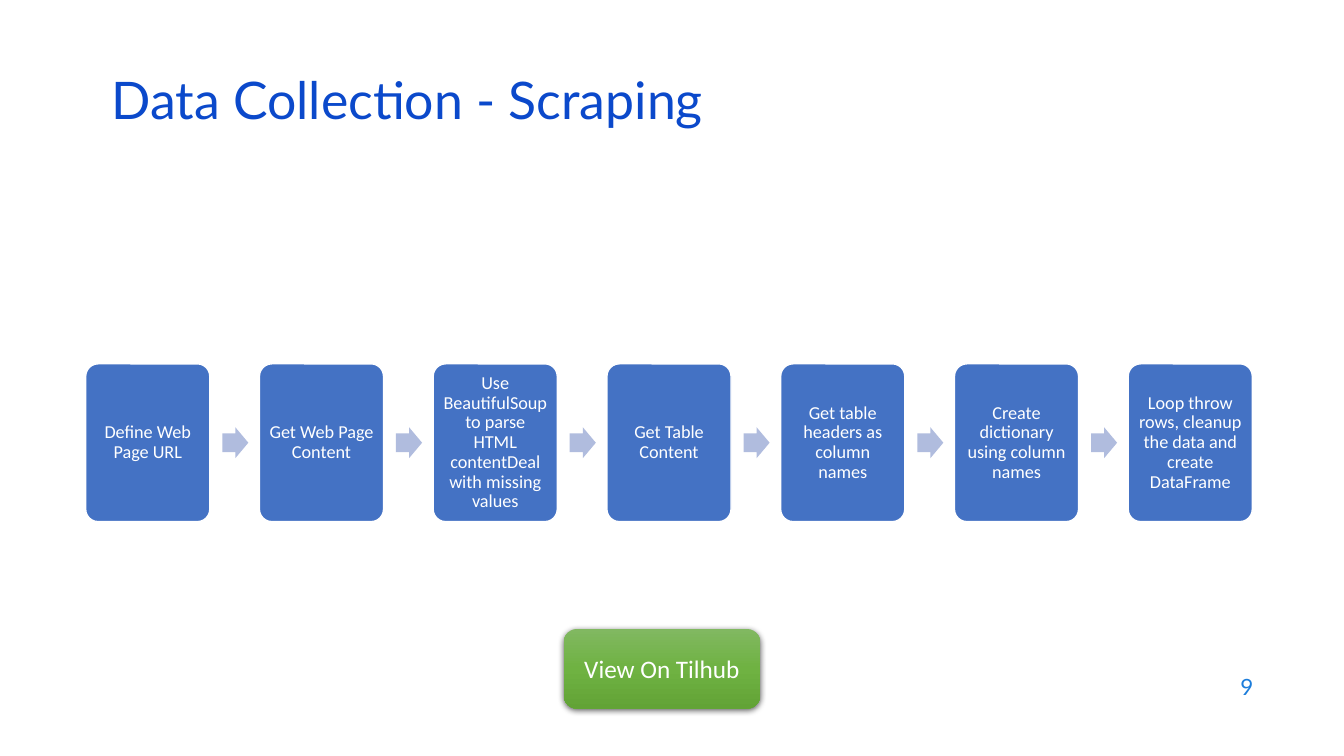
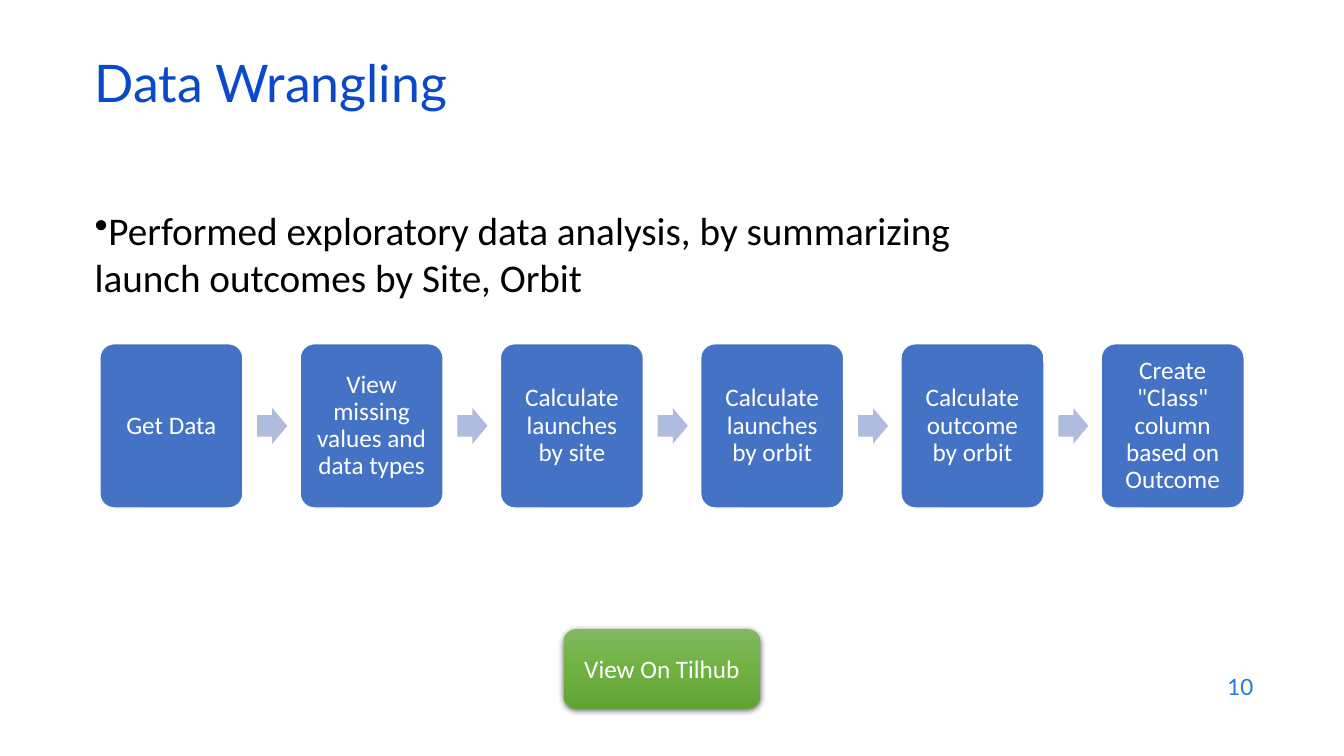
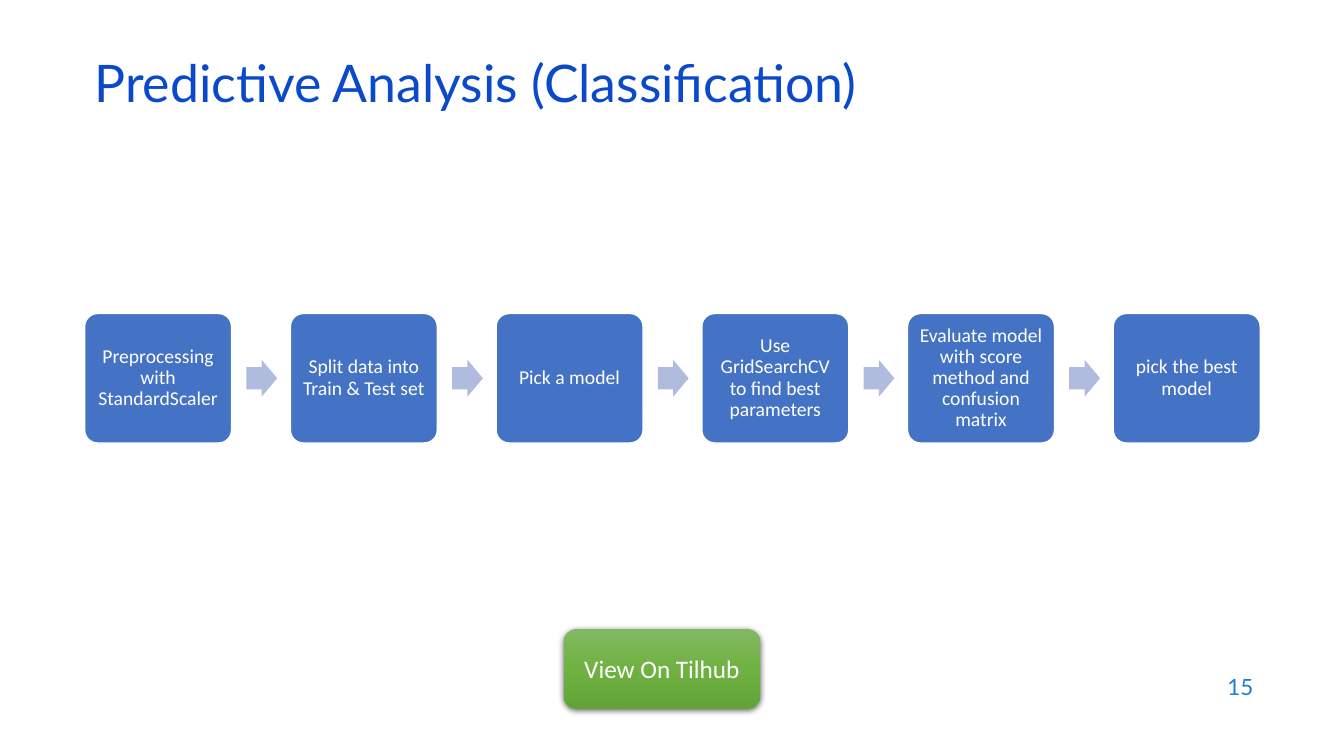
from dataclasses import dataclass

from lxml.etree import SubElement
from pptx import Presentation
from pptx.dml.color import RGBColor
from pptx.enum.shapes import MSO_SHAPE as Preset
from pptx.enum.text import MSO_ANCHOR as Anchor, PP_ALIGN as Align
from pptx.oxml import parse_xml
from pptx.oxml.ns import nsdecls, qn
from pptx.shapes.autoshape import Shape
from pptx.slide import Slide
from pptx.util import Inches, Pt

SLIDE_WIDTH = Inches(13.33)
SLIDE_HEIGHT = Inches(7.5)
COLOURS = {
    "title": "0B49CB",
    "number": "1C7DDB",
    "body": "000000",
    "light": "FFFFFF",
    "step": "4472C4",
    "arrow": "B0BCDE",
    "button top": "81B861",
    "button middle": "6FB242",
    "button bottom": "62A336",
    "shadow": "000000",
}
HEADING_FONT = "Lato"
TEXT_FONT = "Calibri"

STEP_PITCH = 1.4
ARROW_OFFSET = 1.1
ARROW_WIDTH = 0.21
ARROW_HEIGHT = 0.25


@dataclass(frozen=True)
class Area:
    """A rectangle in percent of the slide's width and height."""

    left: float
    top: float
    width: float
    height: float

    def lengths(self) -> tuple[int, int, int, int]:
        return (
            round(SLIDE_WIDTH * self.left / 100),
            round(SLIDE_HEIGHT * self.top / 100),
            round(SLIDE_WIDTH * self.width / 100),
            round(SLIDE_HEIGHT * self.height / 100),
        )


@dataclass(frozen=True)
class TextStyle:
    font: str
    size: float
    colour: str
    align: Align = Align.LEFT
    line_spacing: float = 1.0
    anchor: Anchor = Anchor.MIDDLE


@dataclass(frozen=True)
class Flow:
    area: Area
    text_size: float
    inset: float
    steps: tuple[str, ...]


@dataclass(frozen=True)
class Page:
    number: int
    title: str
    title_area: Area
    flow: Flow
    bullet: str = ""


NUMBER_AREA = Area(71.49, 87.87, 22.5, 5.87)
TITLE_AREA = Area(6.3, 7.87, 86.27, 8)
BODY_AREA = Area(6.3, 26.67, 73.67, 63.47)
BUTTON_AREA = Area(41.94, 83.2, 14.63, 10.53)

NUMBER_STYLE = TextStyle(HEADING_FONT, 16, "number", Align.RIGHT)
TITLE_STYLE = TextStyle(HEADING_FONT, 37, "title", line_spacing=0.7)
BODY_STYLE = TextStyle(TEXT_FONT, 28, "body", anchor=Anchor.TOP)
BUTTON_STYLE = TextStyle(TEXT_FONT, 18, "light", Align.CENTER)

PAGES = (
    Page(
        9,
        "Data Collection - Scraping",
        Area(7.58, 10.13, 86.27, 8),
        Flow(
            Area(6.38, 48.13, 86.8, 20.87),
            13,
            0.05,
            (
                "Define Web Page URL",
                "Get Web Page Content",
                "Use BeautifulSoup to parse HTML contentDeal with missing values",
                "Get Table Content",
                "Get table headers as column names",
                "Create dictionary using column names",
                "Loop throw rows, cleanup the data and create DataFrame",
            ),
        ),
    ),
    Page(
        10,
        "Data Wrangling",
        TITLE_AREA,
        Flow(
            Area(7.43, 45.47, 85.15, 21.73),
            18,
            0.07,
            (
                "Get Data",
                "View missing values and data types",
                "Calculate launches by site",
                "Calculate launches by orbit",
                "Calculate outcome by orbit",
                'Create "Class" column based on Outcome',
            ),
        ),
        "Performed exploratory data analysis, by summarizing launch outcomes by Site, Orbit",
    ),
    Page(
        15,
        "Predictive Analysis (Classification)",
        TITLE_AREA,
        Flow(
            Area(6.3, 41.47, 87.47, 17.13),
            14,
            0.06,
            (
                "Preprocessing with StandardScaler",
                "Split data into Train & Test set",
                "Pick a model",
                "Use GridSearchCV to find best parameters",
                "Evaluate model with score method and confusion matrix",
                "pick the best model",
            ),
        ),
    ),
)


def colour(name: str) -> RGBColor:
    return RGBColor.from_string(COLOURS[name])


def write(box: Shape, text: str, style: TextStyle, bullet: bool = False) -> None:
    frame = box.text_frame
    frame.word_wrap = True
    frame.vertical_anchor = style.anchor
    para = frame.paragraphs[0]
    para.text = text
    para.alignment = style.align
    para.line_spacing = style.line_spacing
    if bullet:
        SubElement(para._p.get_or_add_pPr(), qn("a:buChar"), char="•")
    para.font.name = style.font
    para.font.size = Pt(style.size)
    para.font.color.rgb = colour(style.colour)


def add_text(slide: Slide, area: Area, text: str, style: TextStyle, bullet: bool = False) -> Shape:
    box = slide.shapes.add_textbox(*area.lengths())
    write(box, text, style, bullet)
    return box


def add_solid(slide: Slide, preset: Preset, lengths: tuple[int, int, int, int], fill: str) -> Shape:
    shape = slide.shapes.add_shape(preset, *lengths)
    shape.shadow.inherit = False
    shape.fill.solid()
    shape.fill.fore_color.rgb = colour(fill)
    shape.line.fill.background()
    return shape


def add_flow(slide: Slide, flow: Flow) -> None:
    left, top, width, height = flow.area.lengths()
    step_width = width / (1 + STEP_PITCH * (len(flow.steps) - 1))
    arrow_width = round(step_width * ARROW_WIDTH)
    arrow_height = round(step_width * ARROW_HEIGHT)
    arrow_top = top + (height - arrow_height) // 2
    style = TextStyle(TEXT_FONT, flow.text_size, "light", Align.CENTER, 0.9)

    for index, text in enumerate(flow.steps):
        step_left = left + index * STEP_PITCH * step_width
        step = add_solid(
            slide, Preset.ROUNDED_RECTANGLE, (round(step_left), top, round(step_width), height), "step"
        )
        step.adjustments[0] = 0.1
        step.line.color.rgb = colour("light")
        step.line.width = Pt(1)
        frame = step.text_frame
        frame.margin_left = frame.margin_right = Inches(flow.inset)
        frame.margin_top = frame.margin_bottom = Inches(flow.inset)
        write(step, text, style)
        if index < len(flow.steps) - 1:
            arrow_left = round(step_left + ARROW_OFFSET * step_width)
            arrow = add_solid(
                slide, Preset.RIGHT_ARROW, (arrow_left, arrow_top, arrow_width, arrow_height), "arrow"
            )
            arrow.adjustments[0] = 0.6
            arrow.adjustments[1] = 0.5


def add_button(slide: Slide) -> None:
    button = slide.shapes.add_shape(Preset.ROUNDED_RECTANGLE, *BUTTON_AREA.lengths())
    stops = "".join(
        f'<a:gs pos="{position * 1000}"><a:srgbClr val="{COLOURS["button " + part]}"/></a:gs>'
        for position, part in ((0, "top"), (50, "middle"), (100, "bottom"))
    )
    properties = button._element.spPr
    properties.append(
        parse_xml(
            f'<a:gradFill {nsdecls("a")} rotWithShape="1"><a:gsLst>{stops}</a:gsLst>'
            '<a:lin ang="5400000" scaled="0"/></a:gradFill>'
        )
    )
    button.line.fill.background()
    properties.append(
        parse_xml(
            f'<a:effectLst {nsdecls("a")}><a:outerShdw blurRad="{Pt(4.5)}" dist="{Pt(1.5)}" '
            f'dir="5400000" algn="ctr" rotWithShape="0"><a:srgbClr val="{COLOURS["shadow"]}">'
            '<a:alpha val="63000"/></a:srgbClr></a:outerShdw></a:effectLst>'
        )
    )
    write(button, "View On Tilhub", BUTTON_STYLE)


def add_page(deck: Presentation, page: Page) -> None:
    slide = deck.slides.add_slide(deck.slide_layouts[6])
    add_text(slide, NUMBER_AREA, str(page.number), NUMBER_STYLE)
    if page.bullet:
        body = add_text(slide, BODY_AREA, page.bullet, BODY_STYLE, bullet=True)
        body.text_frame.margin_right = Inches(0.25)
    add_text(slide, page.title_area, page.title, TITLE_STYLE)
    add_button(slide)
    add_flow(slide, page.flow)


def main() -> None:
    deck = Presentation()
    deck.slide_width = SLIDE_WIDTH
    deck.slide_height = SLIDE_HEIGHT
    for page in PAGES:
        add_page(deck, page)
    deck.save("out.pptx")


if __name__ == "__main__":
    main()
